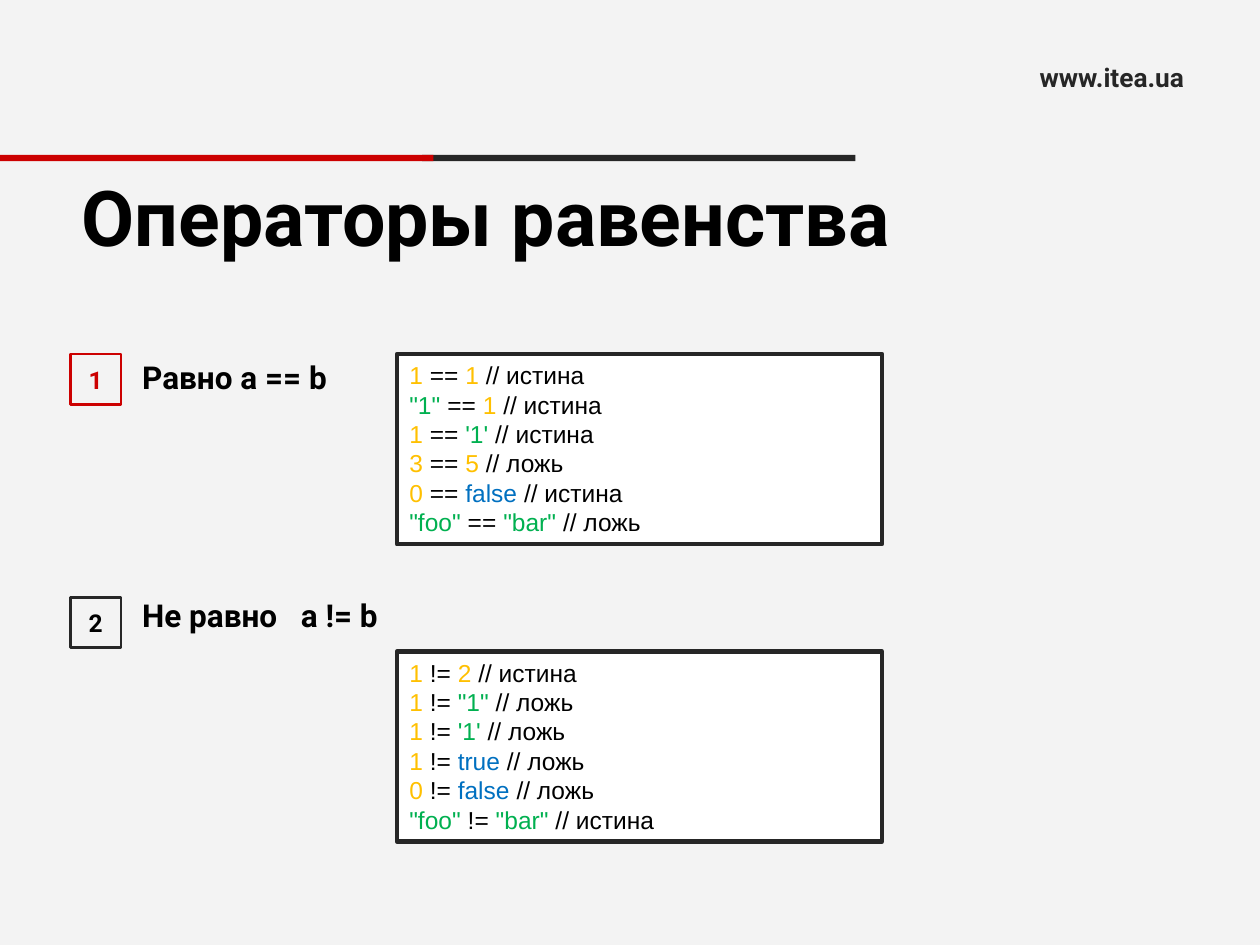
from lxml.etree import SubElement
from pptx import Presentation
from pptx.dml.color import RGBColor
from pptx.enum.shapes import MSO_SHAPE as Shape
from pptx.enum.text import MSO_ANCHOR as Anchor, PP_ALIGN as Align
from pptx.oxml.ns import qn
from pptx.util import Inches, Pt

COLUMNS, ROWS = 100, 75
CELL = Inches(0.1)

COLORS = {
    "page": "F3F3F3",
    "white": "FFFFFF",
    "text": "000000",
    "dark": "262626",
    "red": "CC0000",
    "number": "FFC000",
    "string": "00B050",
    "boolean": "0070C0",
}

EQUAL_CODE = [
    "1 == 1 // истина",
    "\"1\" == 1 // истина",
    "1 == '1' // истина",
    "3 == 5 // ложь",
    "0 == false // истина",
    "\"foo\" == \"bar\" // ложь",
]
NOT_EQUAL_CODE = [
    "1 != 2 // истина",
    "1 != \"1\" // ложь",
    "1 != '1' // ложь",
    "1 != true // ложь",
    "0 != false // ложь",
    "\"foo\" != \"bar\" // истина",
]


def color(name):
    return RGBColor.from_string(COLORS[name])


def grid(*cells):
    return [round(cell * CELL) for cell in cells]


def set_font(font, size, color_name, name="Roboto", bold=True):
    font.name, font.size, font.bold = name, Pt(size), bold
    font.color.rgb = color(color_name)


def add_rectangle(page, cells, fill=None, line=None, width=0):
    box = page.shapes.add_shape(Shape.RECTANGLE, *grid(*cells))
    box.shadow.inherit = False
    if fill:
        box.fill.solid()
        box.fill.fore_color.rgb = color(fill)
    else:
        box.fill.background()
    if line:
        box.line.color.rgb = color(line)
        box.line.width = Pt(width)
    else:
        box.line.fill.background()
    return box


def add_text(page, cells, text, size, color_name="text", align=Align.LEFT,
             anchor=Anchor.TOP, tab=None):
    """Add one line of bold text; tab is the column of its tab stop."""
    frame = page.shapes.add_textbox(*grid(*cells)).text_frame
    frame.word_wrap = True
    frame.vertical_anchor = anchor
    para = frame.paragraphs[0]
    para.text = text
    para.alignment = align
    if tab:
        tabs = SubElement(para._p.get_or_add_pPr(), qn("a:tabLst"))
        SubElement(tabs, qn("a:tab"), pos=str(grid(tab)[0]), algn="l")
    set_font(para.font, size, color_name)


def add_badge(page, row, number, line, color_name):
    box = add_rectangle(page, (5.6, row, 4, 4), line=line, width=1.5)
    frame = box.text_frame
    frame.vertical_anchor = Anchor.MIDDLE
    para = frame.paragraphs[0]
    para.text = number
    para.alignment = Align.CENTER
    set_font(para.font, 14, color_name)


def token_color(token):
    if token[0] in "\"'":
        return "string"
    if token.isdigit():
        return "number"
    return "boolean" if token in ("true", "false") else "text"


def add_code(page, row, lines):
    box = add_rectangle(page, (31.5, row, 38.5, 15.1), "white", "dark", 2.5)
    frame = box.text_frame
    frame.word_wrap = True
    frame.vertical_anchor = Anchor.TOP
    for index, line in enumerate(lines):
        para = frame.add_paragraph() if index else frame.paragraphs[0]
        para.alignment = Align.LEFT
        set_font(para.font, 14, "text", "Arial", False)
        tokens = line.split(" ")
        for position, token in enumerate(tokens, 1):
            span = para.add_run()
            span.text = token + (" " if position < len(tokens) else "")
            span.font.color.rgb = color(token_color(token))


def main():
    deck = Presentation()
    deck.slide_width, deck.slide_height = grid(COLUMNS, ROWS)
    page = deck.slides.add_slide(deck.slide_layouts[6])

    add_rectangle(page, (0, 0, COLUMNS, ROWS), "page")
    add_text(page, (5.5, 13, 85, 6.6), "Операторы равенства", 44)
    add_text(page, (78.1, 4.5, 20.3, 3.2), "www.itea.ua", 15, "dark",
             Align.CENTER, Anchor.MIDDLE)
    add_rectangle(page, (33.5, 12.3, 34.4, 0.5), "dark")
    add_rectangle(page, (0, 12.3, 34.4, 0.5), "red")

    add_badge(page, 28.1, "1", "red", "red")
    add_text(page, (10.3, 27.9, 20, 4), "Равно a == b", 18)
    add_code(page, 28.1, EQUAL_CODE)

    add_badge(page, 47.4, "2", "dark", "text")
    add_text(page, (10.3, 46.8, 24, 4), "Не равно\ta != b", 18, tab=12.6)
    add_code(page, 51.7, NOT_EQUAL_CODE)

    deck.save("out.pptx")


if __name__ == "__main__":
    main()
